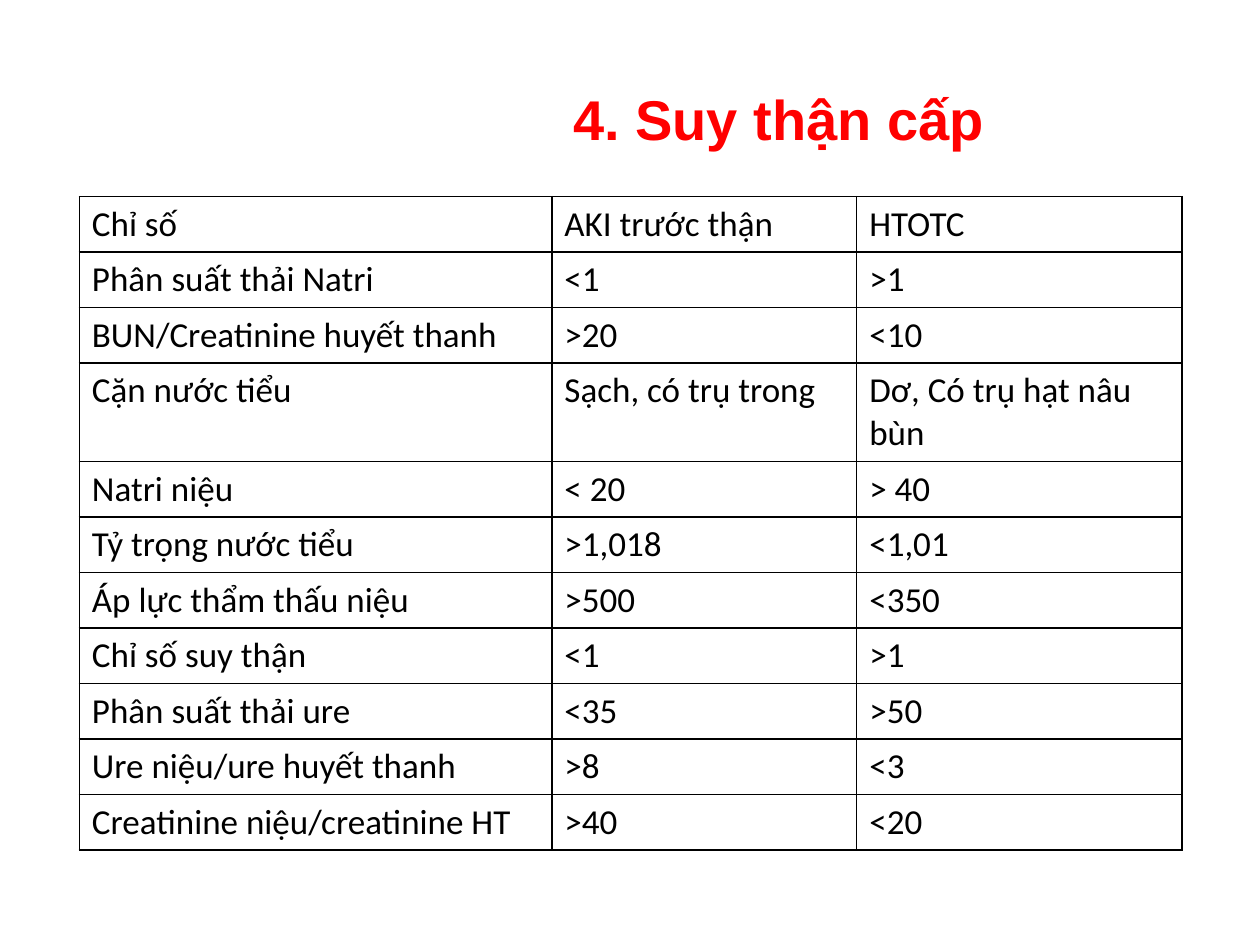
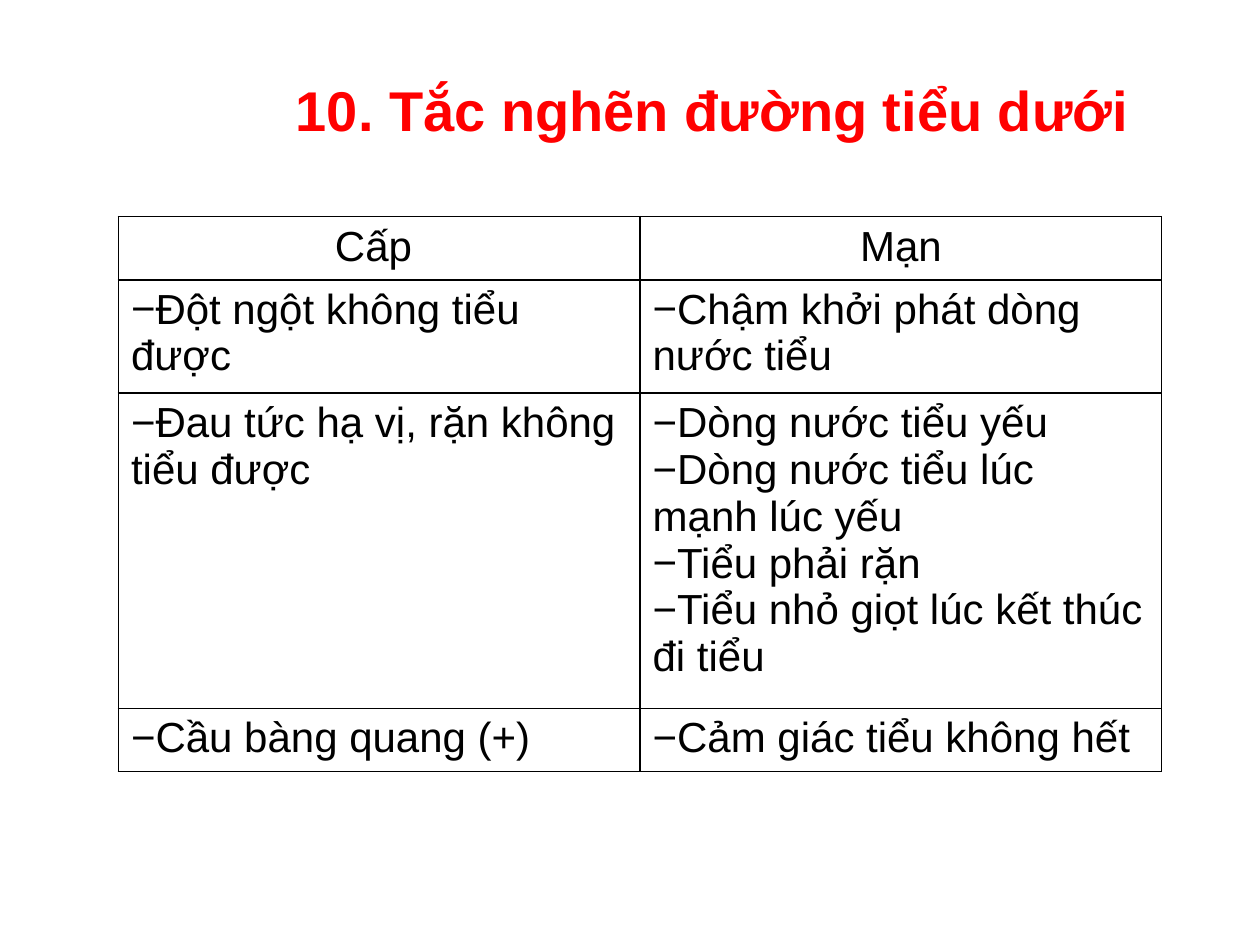
from dataclasses import dataclass

import lxml.etree
import pptx
import pptx.dml.color
import pptx.enum.text
import pptx.oxml.ns
import pptx.util

PX = 9144
BULLET = "−"


@dataclass(frozen=True)
class Theme:
    title_color: str = "FF0000"
    text_color: str = "000000"
    border_color: str = "000000"
    title_font: str = "Arial"
    title_size: int = 32
    border_width: int = 1


@dataclass(frozen=True)
class Title:
    text: str
    left: int
    top: int
    width: int
    height: int = 64


@dataclass(frozen=True)
class Grid:
    left: int
    top: int
    columns: tuple[int, ...]
    rows: tuple[tuple[str, ...], ...]
    font: str
    size: int
    header_centered: bool = False
    bulleted: bool = False
    row_height: int = 41


THEME = Theme()

PAGES = (
    (
        Grid(63, 156, (375, 242, 258), (
            ("Chỉ số", "AKI trước thận", "HTOTC"),
            ("Phân suất thải Natri", "<1", ">1"),
            ("BUN/Creatinine huyết thanh", ">20", "<10"),
            ("Cặn nước tiểu", "Sạch, có trụ trong", "Dơ, Có trụ hạt nâu bùn"),
            ("Natri niệu", "< 20", "> 40"),
            ("Tỷ trọng nước tiểu", ">1,018", "<1,01"),
            ("Áp lực thẩm thấu niệu", ">500", "<350"),
            ("Chỉ số suy thận", "<1", ">1"),
            ("Phân suất thải ure", "<35", ">50"),
            ("Ure niệu/ure huyết thanh", ">8", "<3"),
            ("Creatinine niệu/creatinine HT", ">40", "<20"),
        ), "Calibri", 20),
        Title("4. Suy thận cấp", 445, 62, 531),
    ),
    (
        Grid(94, 172, (414, 414), (
            ("Cấp ", "Mạn"),
            ("Đột ngột không tiểu được", "Chậm khởi phát dòng nước tiểu"),
            ("Đau tức hạ vị, rặn không tiểu được",
             "Dòng nước tiểu yếu\nDòng nước tiểu lúc mạnh lúc yếu\n"
             "Tiểu phải rặn\nTiểu nhỏ giọt lúc kết thúc đi tiểu"),
            ("Cầu bàng quang (+)", "Cảm giác tiểu không hết"),
        ), "Arial", 24, header_centered=True, bulleted=True),
        Title("10. Tắc nghẽn đường tiểu dưới", 225, 55, 713),
    ),
)


def px(length: int) -> pptx.util.Emu:
    return pptx.util.Emu(length * PX)


def add_child(parent, tag: str, **attributes: str):
    child = lxml.etree.SubElement(parent, pptx.oxml.ns.qn(tag))
    for name, value in attributes.items():
        child.set(name, value)
    return child


def add_typefaces(props, font: str, *scripts: str) -> None:
    for script in scripts:
        add_child(props, f"a:{script}", typeface=font)


def add_run(p, text: str, font: str, size: int, color: str, bold: bool = False) -> None:
    r = p.add_run()
    r.text = text
    r.font.name = font
    r.font.size = pptx.util.Pt(size)
    r.font.bold = bold
    r.font.color.rgb = pptx.dml.color.RGBColor.from_string(color)
    add_typefaces(r.font._element, font, "ea", "cs")


def add_end_format(p, font: str, size: int) -> None:
    props = add_child(p._p, "a:endParaRPr", sz=str(size * 100))
    add_typefaces(props, font, "latin", "ea", "cs")


def add_bullet(p, font: str) -> None:
    props = p._p.get_or_add_pPr()
    props.set("marL", "0")
    props.set("indent", "0")
    add_child(props, "a:buFont", typeface=font)
    add_child(props, "a:buChar", char=BULLET)


def add_borders(cell) -> None:
    props = cell._tc.get_or_add_tcPr()
    width = str(pptx.util.Pt(THEME.border_width))
    for side in "LRTB":
        line = add_child(props, f"a:ln{side}", w=width)
        fill = add_child(line, "a:solidFill")
        add_child(fill, "a:srgbClr", val=THEME.border_color)


def fill_cell(cell, text: str, grid: Grid, is_header: bool) -> None:
    add_borders(cell)
    cell.fill.background()
    tf = cell.text_frame
    for i, line in enumerate(text.split("\n")):
        p = tf.add_paragraph() if i else tf.paragraphs[0]
        if is_header and grid.header_centered:
            p.alignment = pptx.enum.text.PP_ALIGN.CENTER
        if grid.bulleted and not is_header:
            add_bullet(p, grid.font)
        add_run(p, line, grid.font, grid.size, THEME.text_color)
        add_end_format(p, grid.font, grid.size)


def add_grid(s, grid: Grid) -> None:
    count = len(grid.rows)
    sp = s.shapes.add_table(
        count, len(grid.columns), px(grid.left), px(grid.top),
        px(sum(grid.columns)), px(count * grid.row_height))
    table = sp.table
    table.first_row = False
    table.horz_banding = False
    for column, width in zip(table.columns, grid.columns):
        column.width = px(width)
    for i, texts in enumerate(grid.rows):
        table.rows[i].height = px(grid.row_height)
        for j, text in enumerate(texts):
            fill_cell(table.cell(i, j), text, grid, i == 0)


def add_title(s, title: Title) -> None:
    sp = s.shapes.add_textbox(
        px(title.left), px(title.top), px(title.width), px(title.height))
    tf = sp.text_frame
    tf.word_wrap = True
    tf.auto_size = pptx.enum.text.MSO_AUTO_SIZE.SHAPE_TO_FIT_TEXT
    add_run(tf.paragraphs[0], title.text, THEME.title_font,
            THEME.title_size, THEME.title_color, bold=True)


def main() -> None:
    prs = pptx.Presentation()
    prs.slide_width = px(1000)
    prs.slide_height = px(750)
    for grid, title in PAGES:
        s = prs.slides.add_slide(prs.slide_layouts[6])
        add_grid(s, grid)
        add_title(s, title)
    prs.save("out.pptx")


if __name__ == "__main__":
    main()
